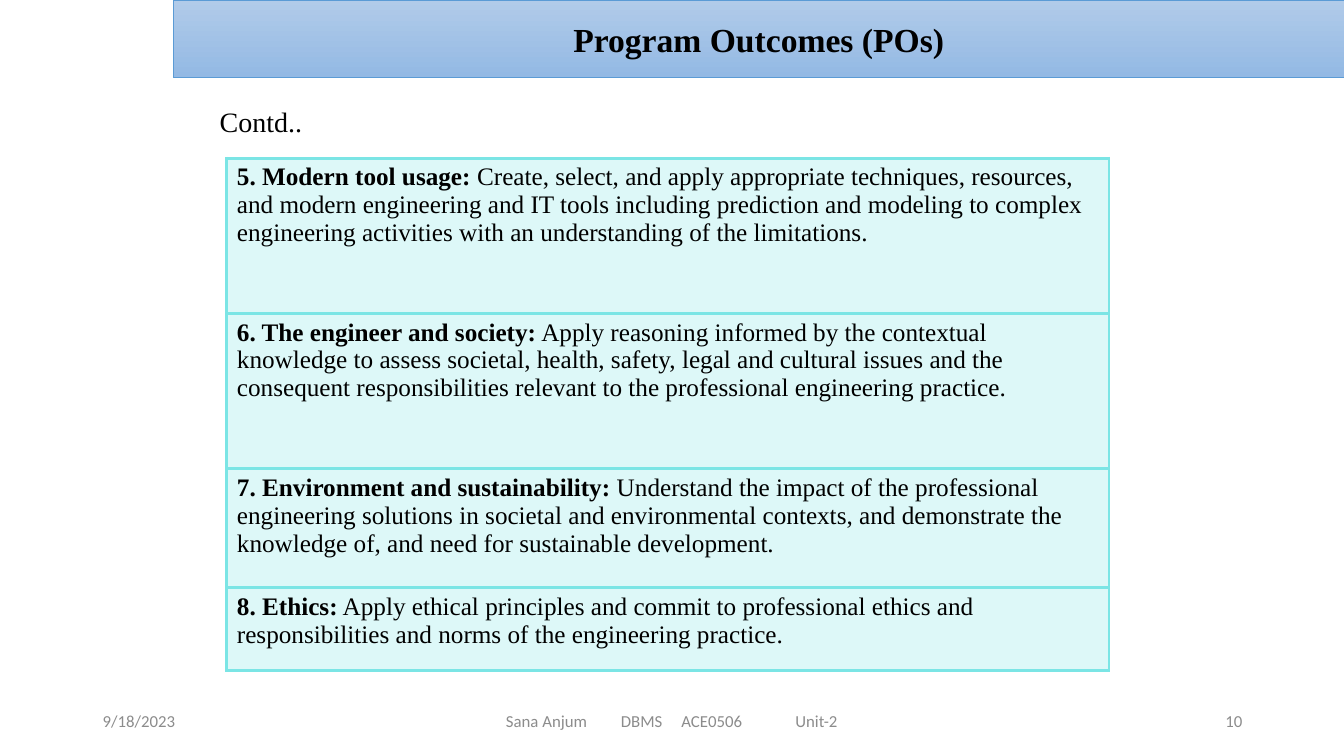
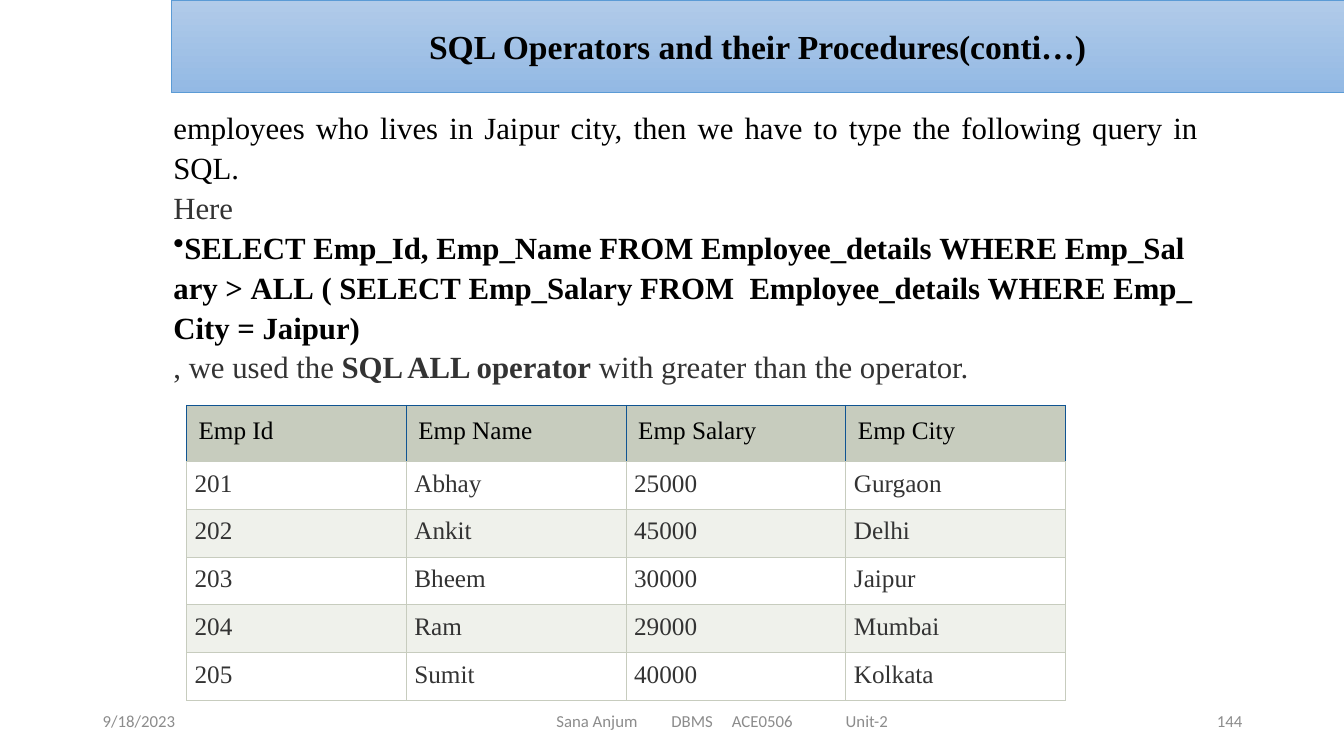
"""Build two lecture slides: program outcomes and the SQL ALL operator."""
from dataclasses import dataclass
from typing import Any

from lxml import etree
from pptx import Presentation
from pptx import util as u
from pptx.dml.color import RGBColor
from pptx.enum import shapes, text
from pptx.oxml.ns import qn
from pptx.slide import Slide

BLACK = RGBColor(0x00, 0x00, 0x00)
WHITE = RGBColor(0xFF, 0xFF, 0xFF)
INK = RGBColor(0x33, 0x33, 0x33)
GREY = RGBColor(0x8C, 0x8C, 0x8C)
BAND_TOP = RGBColor(0xB1, 0xCB, 0xE9)
BAND_BOTTOM = RGBColor(0x93, 0xB9, 0xE4)
BAND_LINE = RGBColor(0x5B, 0x9B, 0xD5)
AQUA = RGBColor(0x7B, 0xE5, 0xE5)
SAGE = RGBColor(0xC7, 0xCC, 0xBE)
PALE_SAGE = RGBColor(0xEF, 0xF1, 0xEB)
NAVY = RGBColor(0x10, 0x54, 0x92)

SERIF, SANS = "Times New Roman", "Calibri"
SLIDE_W, SLIDE_H = 13.33, 7.5
FOOTER_Y, FOOTER_H = 6.95, 0.4
FOOTER_TABS = (1.14, 1.74, 2.87)
NBSP = chr(160)
LEFT, CENTER = text.PP_ALIGN.LEFT, text.PP_ALIGN.CENTER
RIGHT, JUSTIFY = text.PP_ALIGN.RIGHT, text.PP_ALIGN.JUSTIFY
MIDDLE = text.MSO_ANCHOR.MIDDLE


@dataclass(frozen=True)
class Span:
    """A stretch of text in one format."""
    text: str
    size: float = 18
    color: RGBColor = BLACK
    bold: bool = False
    font: str = SERIF


@dataclass(frozen=True)
class Para:
    """A paragraph of spans."""
    spans: tuple[Span, ...]
    align: Any = LEFT
    bullet: bool = False
    spacing: float | None = None
    tabs: tuple[float, ...] = ()


@dataclass(frozen=True)
class CellStyle:
    """Fill, margins and borders of a table cell."""
    fill: RGBColor
    border: RGBColor
    width: float
    margins: tuple[float, float]
    bottom: RGBColor | None = None
    alpha: int | None = None


OUTCOMES = (
    ("5. Modern tool usage: ",
     "Create, select, and apply appropriate techniques, resources, and modern engineering and IT "
     "tools including prediction and modeling to complex engineering activities with an "
     "understanding of the limitations."),
    ("6. The engineer and society:",
     " Apply reasoning informed by the contextual knowledge to assess societal, health, safety, "
     "legal and cultural issues and the consequent responsibilities relevant to the professional "
     "engineering practice."),
    ("7. Environment and sustainability: ",
     "Understand the impact of the professional engineering solutions in societal and "
     "environmental contexts, and demonstrate the knowledge of, and need for sustainable "
     "development."),
    ("8. Ethics:",
     " Apply ethical principles and commit to professional ethics and responsibilities and norms "
     "of the engineering practice."),
)
EMPLOYEES = (
    ("Emp Id", "Emp Name", "Emp Salary", "Emp City"),
    ("201", "Abhay", "25000", "Gurgaon"),
    ("202", "Ankit", "45000", "Delhi"),
    ("203", "Bheem", "30000", "Jaipur"),
    ("204", "Ram", "29000", "Mumbai"),
    ("205", "Sumit", "40000", "Kolkata"),
)
QUERY = ("SELECT Emp_Id, Emp_Name FROM Employee_details WHERE Emp_Salary > ALL "
         "( SELECT Emp_Salary FROM  Employee_details WHERE Emp_City = Jaipur)")


def apply(obj: Any, values: dict[str, Any]) -> None:
    """Set every named attribute on an object."""
    for name, value in values.items():
        setattr(obj, name, value)


def write(tf: Any, *paras: Para) -> None:
    """Fill a text frame with paragraphs."""
    for i, para in enumerate(paras):
        p = tf.add_paragraph() if i else tf.paragraphs[0]
        apply(p, {"alignment": para.align, "line_spacing": para.spacing})
        pr = p._p.get_or_add_pPr()
        if para.bullet:
            apply_xml = {"marL": "0", "indent": "0"}
            for name, value in apply_xml.items():
                pr.set(name, value)
            etree.SubElement(pr, qn("a:buChar"), char="•")
        if para.tabs:
            tabs = etree.SubElement(pr, qn("a:tabLst"))
            for pos in para.tabs:
                etree.SubElement(tabs, qn("a:tab"), pos=str(u.Inches(pos)), algn="l")
        for span in para.spans:
            r = p.add_run()
            r.text = span.text
            apply(r.font, {"name": span.font, "size": u.Pt(span.size), "bold": span.bold})
            r.font.color.rgb = span.color


def add_text(s: Slide, box: tuple[float, ...], para: Para, wrap: bool = True) -> None:
    """Add a vertically centred text box."""
    tf = s.shapes.add_textbox(*map(u.Inches, box)).text_frame
    apply(tf, {"word_wrap": wrap, "vertical_anchor": MIDDLE})
    write(tf, para)


def add_rect(s: Slide, box: tuple[float, ...]) -> Any:
    """Add a rectangle without shadow, its text centred vertically."""
    sp = s.shapes.add_shape(shapes.MSO_SHAPE.RECTANGLE, *map(u.Inches, box))
    sp.shadow.inherit = False
    apply(sp.text_frame, {"word_wrap": True, "vertical_anchor": MIDDLE})
    return sp


def add_band(s: Slide, title: str, left: float, height: float) -> None:
    """Add the gradient title band, running to the right edge."""
    sp = add_rect(s, (left, 0, SLIDE_W - left, height))
    sp.fill.gradient()
    sp.fill.gradient_angle = 270
    for stop, color in zip(sp.fill.gradient_stops, (BAND_TOP, BAND_BOTTOM)):
        stop.color.rgb = color
    sp.line.color.rgb = BAND_LINE
    sp.line.width = u.Pt(0.5)
    write(sp.text_frame, Para((Span(title, 24, bold=True),), CENTER))


def add_footer(s: Slide, number: str, course_left: float) -> None:
    """Add the date, course line and slide number."""
    course = "Sana Anjum\tDBMS\tACE0506\tUnit-2"
    for left, width, label, align, tabs in (
        (0.92, 3, "9/18/2023", LEFT, ()),
        (course_left, 3.5, course, LEFT, FOOTER_TABS),
        (9.42, 3, number, RIGHT, ()),
    ):
        span = Span(label, 12, GREY, font=SANS)
        add_text(s, (left, FOOTER_Y, width, FOOTER_H), Para((span,), align, tabs=tabs))


def style_cell(cell: Any, style: CellStyle) -> None:
    """Give a cell its margins, borders and fill."""
    side, top = map(u.Inches, style.margins)
    apply(cell, {"margin_left": side, "margin_right": side,
                 "margin_top": top, "margin_bottom": top})
    pr = cell._tc.get_or_add_tcPr()
    for edge in ("lnL", "lnR", "lnT", "lnB"):
        color = style.bottom if edge == "lnB" and style.bottom else style.border
        ln = etree.SubElement(pr, qn(f"a:{edge}"), w=str(u.Pt(style.width)))
        fill = etree.SubElement(ln, qn("a:solidFill"))
        etree.SubElement(fill, qn("a:srgbClr"), val=str(color))
    cell.fill.solid()
    cell.fill.fore_color.rgb = style.fill
    if style.alpha is not None:
        color = pr.find(f"{qn('a:solidFill')}/{qn('a:srgbClr')}")
        etree.SubElement(color, qn("a:alpha"), val=str(style.alpha * 1000))


def add_grid(s: Slide, left: float, top: float, col_width: float, heights: list[float],
             rows: list[list[Para]], styles: list[CellStyle]) -> None:
    """Add a table with equal columns and one style per row."""
    cols = len(rows[0])
    box = map(u.Inches, (left, top, col_width * cols, sum(heights)))
    table = s.shapes.add_table(len(rows), cols, *box).table
    apply(table, {"first_row": False, "horz_banding": False})
    for col in table.columns:
        col.width = u.Inches(col_width)
    for row, height, paras, style in zip(table.rows, heights, rows, styles):
        row.height = u.Inches(height)
        for cell, para in zip(row.cells, paras):
            style_cell(cell, style)
            write(cell.text_frame, para)


def build_outcomes(s: Slide) -> None:
    """Draw the program outcomes slide."""
    add_footer(s, "10", 4.92)
    rows = [[Para((Span(head, bold=True), Span(body)))] for head, body in OUTCOMES]
    style = CellStyle(AQUA, AQUA, 2.25, (0.1, 0.05), alpha=25)
    add_grid(s, 2.25, 1.57, 8.75, [1.54, 1.54, 1.18, 0.82], rows, [style] * len(rows))
    add_text(s, (2.08, 0.98, 1.03, 0.44), Para((Span("Contd..", 20),)), wrap=False)
    add_band(s, "Program Outcomes (POs)", 1.72, 0.77)


def build_operators(s: Slide) -> None:
    """Draw the SQL ALL operator slide."""
    header = CellStyle(SAGE, NAVY, 0.75, (0.12, 0.12), bottom=SAGE)
    bands = [CellStyle(fill, SAGE, 0.75, (0.08, 0.08)) for fill in (WHITE, PALE_SAGE)]
    names, *records = EMPLOYEES
    rows = [[Para((Span(name),)) for name in names]]
    rows += [[Para((Span(value, color=INK),), JUSTIFY) for value in rec] for rec in records]
    styles = [header] + [bands[i % 2] for i in range(len(records))]
    heights = [0.56] + [2.37 / len(records)] * len(records)
    add_grid(s, 1.85, 4.02, 2.18, heights, rows, styles)
    add_footer(s, "144", 5.42)
    add_band(s, "SQL Operators and their Procedures(conti…)", 1.7, 0.92)

    sp = add_rect(s, (1.72, 1.14, 10.16, 2.59))
    sp.fill.solid()
    sp.fill.fore_color.rgb = WHITE
    sp.line.fill.background()
    apply(sp.text_frame, {f"margin_{side}": 0 for side in ("left", "top", "right", "bottom")})
    intro = ("employees who lives in Jaipur city, then we have to type the following "
             "query in SQL.")
    lines = (
        (Span(intro, 22),),
        (Span("Here", 22, INK),),
        (Span(QUERY.replace(" ", NBSP), 22, bold=True),),
        (Span(", we used the ", 22, INK), Span("SQL ALL operator", 22, INK, True),
         Span(" with greater than the operator.", 22, INK)),
    )
    write(sp.text_frame, *(Para(spans, JUSTIFY, bullet=i == 2, spacing=1.08)
                           for i, spans in enumerate(lines)))


def main() -> None:
    """Build and save the presentation."""
    prs = Presentation()
    apply(prs, {"slide_width": u.Inches(SLIDE_W), "slide_height": u.Inches(SLIDE_H)})
    for build in (build_outcomes, build_operators):
        build(prs.slides.add_slide(prs.slide_layouts[6]))
    prs.save("out.pptx")


if __name__ == "__main__":
    main()
